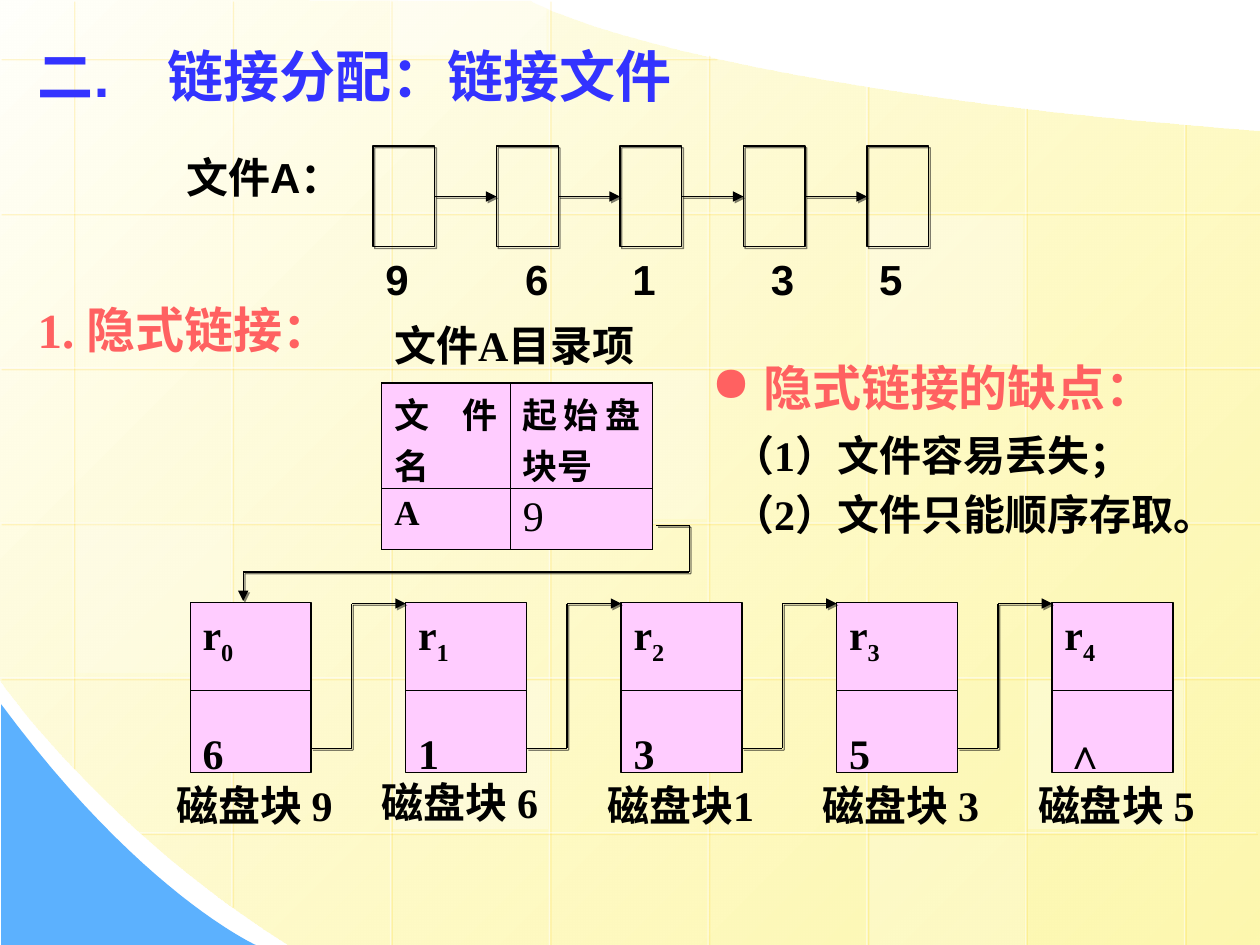
import pptx
import pptx.util
import pptx.dml.color
import pptx.enum.dml
import pptx.enum.shapes
import pptx.enum.text
import pptx.oxml
from pptx.oxml.ns import nsdecls, qn

Inches, Pt, RGBColor = pptx.util.Inches, pptx.util.Pt, pptx.dml.color.RGBColor
RECTANGLE = pptx.enum.shapes.MSO_SHAPE.RECTANGLE
STRAIGHT = pptx.enum.shapes.MSO_CONNECTOR.STRAIGHT
JUSTIFY, LEFT = pptx.enum.text.PP_ALIGN.JUSTIFY, pptx.enum.text.PP_ALIGN.LEFT
TOP, NO_FIT = pptx.enum.text.MSO_ANCHOR.TOP, pptx.enum.text.MSO_AUTO_SIZE.NONE

BLACK, WHITE = RGBColor(0, 0, 0), RGBColor(255, 255, 255)
BLUE, CORAL = RGBColor(0x33, 0x33, 0xFF), RGBColor(0xFF, 0x61, 0x61)
PINK, SKY = RGBColor(0xFF, 0xCC, 0xFF), RGBColor(0x5C, 0xB1, 0xFE)
CREAM, YELLOW = RGBColor(0xFF, 0xFF, 0xFB), RGBColor(0xFD, 0xF5, 0x8D)
SERIF, SANS = "Times New Roman", "Arial"

TITLE = "二.\t链接分配：链接文件"
DRAWBACKS = ["（1）文件容易丢失；", "（2）文件只能顺序存取。"]
DIRECTORY = [["文件名", "起始盘块号"], ["A", "9"]]
COLUMN_WIDTHS, ROW_HEIGHTS = [1.02, 1.13], [0.84, 0.48]
# block number in the file and the shift of its label
CHAIN = [("9", 0), ("6", 0.13), ("1", 0), ("3", 0.12), ("5", 0)]
# record index, pointer, label, label shift from the block's corner
BLOCKS = [("0", "6", "磁盘块 9", -0.21, 1.36),
          ("1", "1", "磁盘块 6", -0.29, 1.33),
          ("2", "3", "磁盘块1", -0.21, 1.36),
          ("3", "5", "磁盘块 3", -0.21, 1.36),
          ("4", "∧", "磁盘块 5", -0.21, 1.36)]

# curves: three points per bezier segment after the start; a single point is a straight line
PANEL = [(10, 1.04), [(10, 7.5)], [(2.3, 7.5)], [(0.86, 6.61), (-0.01, 5.39), (0, 5.39)],
         [(-0.01, -0.01)], [(4.21, 0.01)], [(4.21, 0.01), (5.37, 0.69), (10, 1.04)]]
CORNER = [(0.01, 5.59), [(0.01, 7.5)], [(2.03, 7.5)], [(2.03, 7.5), (1.12, 7.09), (0.01, 5.59)]]
COLUMN_SPANS = [(0, 6.09), (0, 7.19), (0, 7.5), (0, 7.5), (0.43, 7.5), (0.68, 7.5),
                (0.85, 7.5), (0.98, 7.5)]
ROW_SPANS = [(0, 5.68), (0, 10), (0, 10), (0, 10), (0, 10), (1.11, 9.97)]
# left, top, height, opacity
TILES = [(4.38, 2.94, 1.18, 25), (8.16, 5.4, 1.18, 30), (0.6, 4.16, 1.18, 20), (6.9, 6.63, 0.87, 20),
         (3.11, 0, 0.44, 40), (3.12, 5.4, 1.18, 30), (6.89, 1.71, 1.18, 30)]

deck = pptx.Presentation()
deck.slide_width, deck.slide_height = Inches(10), Inches(7.5)
page = deck.slides.add_slide(deck.slide_layouts[1])


def set_opacity(color, percent):
    color.append(pptx.oxml.parse_xml(f'<a:alpha {nsdecls("a")} val="{percent * 1000}"/>'))


def set_shadow(shape, color=None, opacity=50):
    """Give the shape a small diagonal shadow, or none without a colour."""
    shadow = ""
    if color is not None:
        shadow = (f'<a:outerShdw dist="17961" dir="2700000" algn="ctr" rotWithShape="0"><a:srgbClr val="{color}">'
                  f'<a:alpha val="{opacity * 1000}"/></a:srgbClr></a:outerShdw>')
    shape.element.spPr.append(pptx.oxml.parse_xml(f'<a:effectLst {nsdecls("a")}>{shadow}</a:effectLst>'))


def add_line(start, end, color=BLACK, arrow=False):
    line = page.shapes.add_connector(STRAIGHT, *map(Inches, start + end))
    line.line.color.rgb, line.line.width = color, Pt(0.75)
    if arrow:
        line.line._get_or_add_ln().append(
            pptx.oxml.parse_xml(f'<a:tailEnd {nsdecls("a")} type="triangle"/>'))
    return line


def add_route(points):
    """Draw a shadowed chain of lines with an arrow at its end."""
    for index in range(1, len(points)):
        line = add_line(points[index - 1], points[index], arrow=index == len(points) - 1)
        set_shadow(line, BLACK)


def add_box(left, top, width, height, fill=None, border=BLACK):
    box = page.shapes.add_shape(RECTANGLE, *map(Inches, (left, top, width, height)))
    if fill is None:
        box.fill.background()
    else:
        box.fill.solid()
        box.fill.fore_color.rgb = fill
    if border is None:
        box.line.fill.background()
    else:
        box.line.color.rgb, box.line.width = border, Pt(0.75)
    return box


def style(para, size, color=BLACK, face=SERIF, bold=True):
    for span in para.runs:
        span.font.size, span.font.name, span.font.bold = Pt(size), face, bold
        span.font.color.rgb = color


def add_label(text, left, top, width, height=0.5, size=24, color=BLACK, face=SERIF):
    box = page.shapes.add_textbox(*map(Inches, (left, top, width, height)))
    box.text_frame.word_wrap = True
    para = box.text_frame.paragraphs[0]
    para.text = text
    style(para, size, color, face)
    return para


def add_outline(start, *segments):
    points, current = [], start
    for segment in segments:
        if len(segment) == 3:
            bezier = [current] + segment
            for t in (step / 24 for step in range(1, 25)):
                weights = ((1 - t) ** 3, 3 * t * (1 - t) ** 2, 3 * t * t * (1 - t), t ** 3)
                points.append(tuple(sum(w * p[axis] for w, p in zip(weights, bezier)) for axis in (0, 1)))
        else:
            points += segment
        current = segment[-1]
    builder = page.shapes.build_freeform(Inches(start[0]), Inches(start[1]))
    builder.add_line_segments([(Inches(x), Inches(y)) for x, y in points])
    outline = builder.convert_to_shape()
    outline.line.fill.background()
    outline.shadow.inherit = False
    return outline


def place(holder, left, top, width, height):
    """Move a placeholder and bring it in front of what is drawn so far."""
    holder.left, holder.top, holder.width, holder.height = map(Inches, (left, top, width, height))
    holder.element.getparent().append(holder.element)
    frame = holder.text_frame
    frame.word_wrap, frame.auto_size, frame.vertical_anchor = True, NO_FIT, TOP
    return frame


# background
panel = add_outline(*PANEL)
panel.fill.gradient()
panel.fill.gradient_angle = 315
for stop, color in zip(panel.fill.gradient_stops, (CREAM, YELLOW)):
    stop.color.rgb = color
set_opacity(list(panel.element.spPr.iter(qn("a:srgbClr")))[-1], 70)
corner = add_outline(*CORNER)
corner.fill.solid()
corner.fill.fore_color.rgb = SKY
grid = [((0.58 + 1.26 * i, a), (0.58 + 1.26 * i, b)) for i, (a, b) in enumerate(COLUMN_SPANS)]
grid += [((b, 0.46 + 1.23 * i), (a, 0.46 + 1.23 * i)) for i, (a, b) in enumerate(ROW_SPANS)]
for start, end in grid:
    line = add_line(start, end, WHITE)
    set_opacity(next(line.element.spPr.iter(qn("a:srgbClr"))), 50)
    set_shadow(line, "FFCC00", 34)
for left, top, height, opacity in TILES:
    tile = add_box(left, top, 1.23, height, WHITE, None)
    set_opacity(next(tile.element.spPr.iter(qn("a:srgbClr"))), opacity)
    tile.shadow.inherit = False

# headings and list
frame = place(page.shapes.title, 0.2, 0.28, 6.58, 0.67)
para = frame.paragraphs[0]
para.text = TITLE
para.alignment = LEFT
para._p.get_or_add_pPr().append(pptx.oxml.parse_xml(
    f'<a:tabLst {nsdecls("a")}><a:tab pos="{Inches(1.03)}" algn="l"/></a:tabLst>'))
style(para, 32, BLUE, SANS)
add_label("1. 隐式链接：", 0.2, 2.33, 3.07, 0.57, 28, CORAL)
add_label("文件A目录项", 3.03, 2.49, 2.44)
para = add_label("隐式链接的缺点：", 5.55, 2.79, 4.1, 0.57, 28, CORAL)
properties = para._p.get_or_add_pPr()
properties.set("marL", str(Inches(0.41)))
properties.set("indent", str(-Inches(0.41)))
properties.append(pptx.oxml.parse_xml(f'<a:buChar {nsdecls("a")} char="●"/>'))
frame = place(page.placeholders[1], 5.71, 3.36, 4.29, 1.1)
frame.text = "\n".join(DRAWBACKS)
for index, para in enumerate(frame.paragraphs):
    properties = para._p.get_or_add_pPr()
    properties.set("marL", "0")
    properties.set("indent", "0")
    properties.append(pptx.oxml.parse_xml(f'<a:buNone {nsdecls("a")}/>'))
    para.space_before = Pt(5 * index)
    style(para, 24)

# file chain
add_label("文件A：", 1.38, 1.15, 1.7, face=SANS)
previous = None
for index, (number, shift) in enumerate(CHAIN):
    left = 2.96 + 0.98 * index
    box = add_box(left, 1.16, 0.49, 0.8)
    set_shadow(box, BLACK)
    add_label(number, left + shift, 1.96, 0.5, face=SANS)
    if previous is not None:
        link = add_line((left - 0.49, 1.56), (left, 1.56), arrow=True)
        link.begin_connect(previous, 3)
        link.end_connect(box, 1)
        set_shadow(link, BLACK)
    previous = box

# directory entry
table = page.shapes.add_table(2, 2, *map(Inches, (3.03, 3.04, 2.15, 1.32))).table
table.first_row = table.horz_banding = False
for column, width in zip(table.columns, COLUMN_WIDTHS):
    column.width = Inches(width)
for r, texts in enumerate(DIRECTORY):
    table.rows[r].height = Inches(ROW_HEIGHTS[r])
    for c, text in enumerate(texts):
        cell = table.cell(r, c)
        cell.text = text
        cell.margin_top = cell.margin_bottom = Inches(0.04)
        para = cell.text_frame.paragraphs[0]
        para.alignment = JUSTIFY
        style(para, 24 if text == "9" else 20, bold=text != "9")
        cell.fill.solid()
        cell.fill.fore_color.rgb = PINK
        for position, side in enumerate("LRTB"):
            cell._tc.get_or_add_tcPr().insert(position, pptx.oxml.parse_xml(
                f'<a:ln{side} {nsdecls("a")} w="9525"><a:solidFill><a:srgbClr val="{BLACK}"/>'
                f'</a:solidFill></a:ln{side}>'))

# disk blocks
for index, (record, pointer, label, shift_x, shift_y) in enumerate(BLOCKS):
    left, top = 1.51 + 1.71 * index, 4.78
    block = add_box(left, top, 0.96, 1.35, PINK)
    block.shadow.inherit = False
    frame = block.text_frame
    frame.vertical_anchor = TOP
    frame.text = f"r\n{pointer}"
    frame.paragraphs[0].add_run().text = record
    for para in frame.paragraphs:
        para.alignment = JUSTIFY
        style(para, 24, face=SANS if para.text == "∧" else SERIF)
    frame.paragraphs[0].runs[1].font._element.set("baseline", "-25000")
    frame.paragraphs[1].space_before = Pt(35)
    set_shadow(add_line((left, 5.48), (left + 0.96, 5.48)))
    add_label(label, left + shift_x, top + shift_y, 1.6)
    if index:
        bend = left - 0.43
        add_route([(left - 0.75, 5.94), (bend, 5.94), (bend, 4.79), (left, 4.79)])
add_route([(5.21, 4.17), (5.47, 4.17), (5.47, 4.54), (1.93, 4.54), (1.93, 4.77)])

deck.save("out.pptx")
